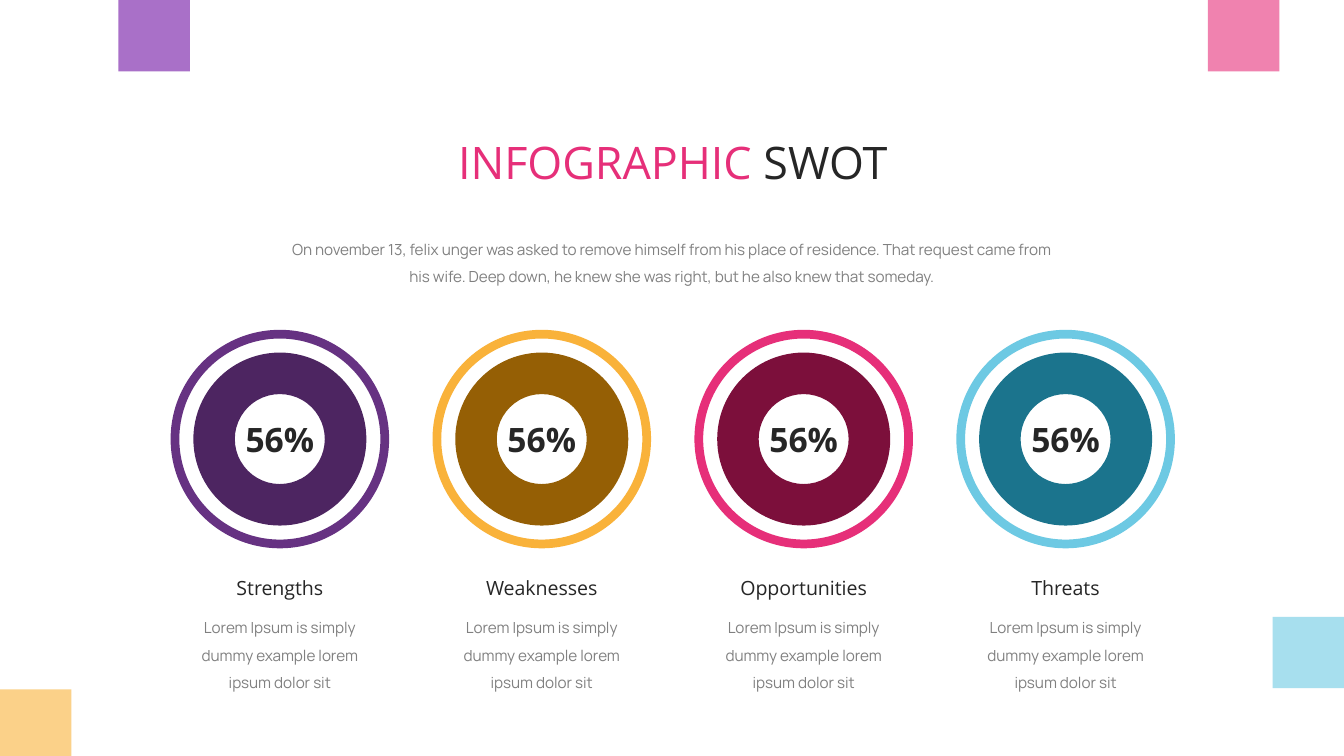
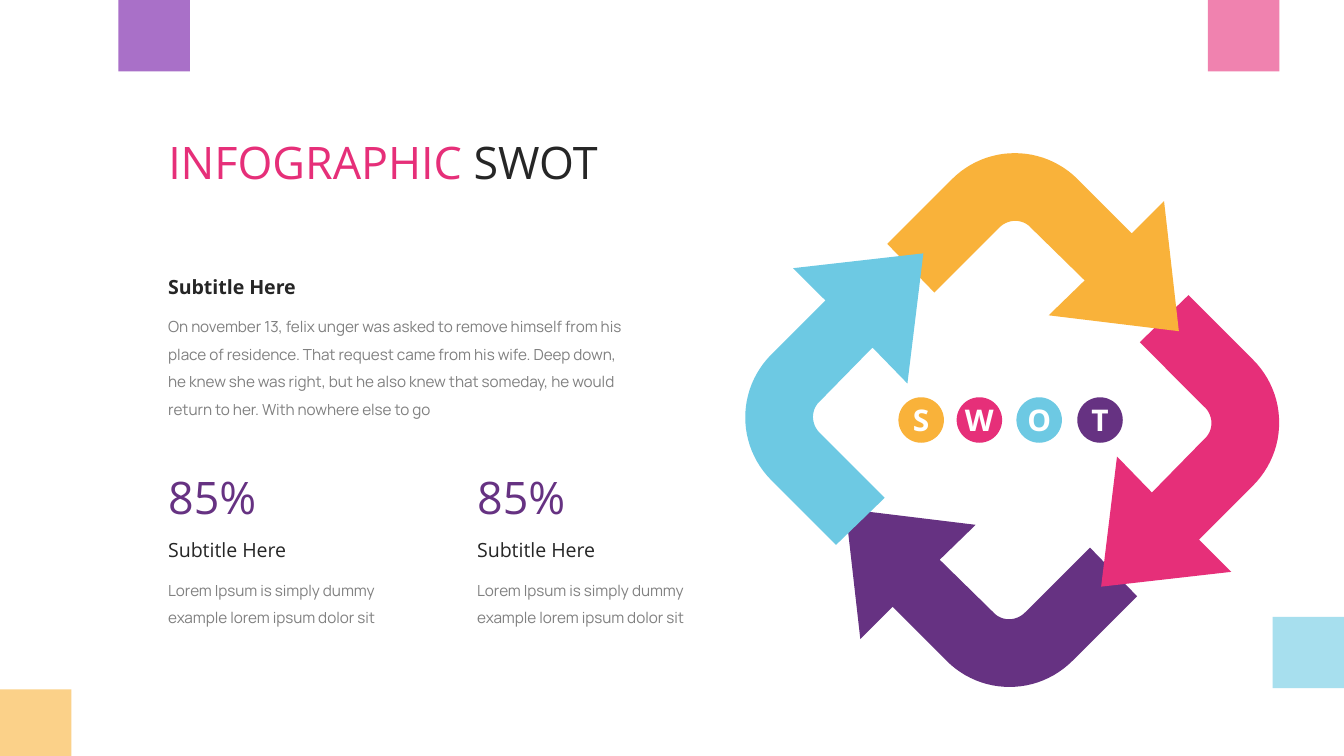
from pptx import Presentation
from pptx import util as u
from pptx.dml.color import RGBColor
from pptx.enum import shapes, text

Cm = u.Cm
SHAPE = shapes.MSO_SHAPE
LEFT, CENTER = text.PP_ALIGN.LEFT, text.PP_ALIGN.CENTER

# Shared colours, fonts and wording
PURPLE, YELLOW, PINK, BLUE = "663282", "F9B23A", "E62F79", "6DC9E3"
DARK, GREY, WHITE = "262626", "808080", "FFFFFF"
HEAD, BODY = "Open Sans", "Manrope"
TITLE = [("INFOGRAPHIC", PINK), (" SWOT", DARK)]
LOREM = "Lorem Ipsum\u00a0is simply dummy example lorem ipsum dolor sit".replace("\u00a0", " ")
STORY = ("On november 13, felix unger was asked to remove himself from his place "
         "of residence. That request came from his wife. Deep down, he knew she "
         "was right, but he also knew that someday")
SQUARES = [(0, 13.03, "FBD189"), (22.83, 0, "F082AF"),
           (24.05, 11.66, "A7DFEE"), (2.24, 0, "A970C8")]


def paint(sp, color):
    """Flat fill without outline or shadow."""
    sp.shadow.inherit = False
    sp.fill.solid()
    sp.fill.fore_color.rgb = RGBColor.from_string(color)
    sp.line.fill.background()


def write(sp, box, runs, size, font=HEAD, align=LEFT, spacing=1.0, bold=False):
    """Place a text shape and fill its one paragraph run by run."""
    sp.left, sp.top, sp.width, sp.height = [Cm(v) for v in box]
    tf = sp.text_frame
    tf.word_wrap = True
    tf.auto_size = text.MSO_AUTO_SIZE.SHAPE_TO_FIT_TEXT
    tf.vertical_anchor = text.MSO_ANCHOR.TOP
    tf.margin_left = tf.margin_right = Cm(0.23)
    tf.margin_top = tf.margin_bottom = Cm(0.09)
    p = tf.paragraphs[0]
    p.alignment, p.line_spacing = align, spacing
    for words, color in runs:
        r = p.add_run()
        r.text = words
        r.font.name, r.font.size, r.font.bold = font, u.Pt(size), bold
        r.font.color.rgb = RGBColor.from_string(color)


prs = Presentation()
prs.slide_width, prs.slide_height = Cm(25.4), Cm(14.29)

# Both slides: corner squares and title
slides = []
for left, align in [(7.14, CENTER), (2.95, LEFT)]:
    s = prs.slides.add_slide(prs.slide_layouts[5])
    for x, y, color in SQUARES:
        paint(s.shapes.add_shape(SHAPE.RECTANGLE, Cm(x), Cm(y), Cm(1.35), Cm(1.35)), color)
    write(s.shapes.title, (left, 2.46, 11.15, 1.27), TITLE, 24, align=align)
    slides.append(s)

# Slide 1: introduction
s = slides[0]
write(s.shapes.add_textbox(0, 0, 0, 0), (5.08, 4.27, 15.24, 1.27),
      [(STORY + ".", GREY)], 8.2, BODY, CENTER, 1.5)

# Slide 1: four double rings with captions
topics = [("Strengths", PURPLE, "4D2561"), ("Weaknesses", YELLOW, "955F05"),
          ("Opportunities", PINK, "7C0F3B"), ("Threats", BLUE, "1B748D")]
for i, (topic, light, deep) in enumerate(topics):
    cx, cy = 5.29 + 4.95 * i, 8.3
    for size, thickness, color in [(4.13, 0.04, light), (3.27, 0.24, deep)]:
        sp = s.shapes.add_shape(SHAPE.DONUT, Cm(cx - size / 2), Cm(cy - size / 2),
                                Cm(size), Cm(size))
        sp.adjustments[0] = thickness
        paint(sp, color)
    write(s.shapes.add_textbox(0, 0, 0, 0), (cx - 1.28, 7.82, 2.56, 1.02),
          [("56%", DARK)], 18, align=CENTER, bold=True)
    write(s.shapes.add_textbox(0, 0, 0, 0), (cx - 1.66, 10.8, 3.32, 0.71),
          [(topic, DARK)], 10.5, align=CENTER)
    write(s.shapes.add_textbox(0, 0, 0, 0), (cx - 1.98, 11.43, 3.96, 1.8),
          [(LOREM, GREY)], 8.2, BODY, CENTER, 1.5)

# Slide 2: outline of the bottom arrow around the cycle centre;
# four points in one row make a Bezier curve, a single point a corner
s = slides[1]
outline = [
    [(-3.15, 1.68)], [(-2.87, 4.14)], [(-2.26, 3.53)],
    [(-1.24, 4.55), (-0.58, 5.21), (0.48, 5.21), (1.14, 4.55)],
    [(2.36, 3.33)], [(1.47, 2.41)],
    [(0.25, 3.63), (0.08, 3.81), (-0.2, 3.81), (-0.36, 3.63)],
    [(-1.37, 2.64)], [(-0.69, 1.98)],
]
points = []
for part in outline:
    if len(part) == 1:
        points += part
        continue
    a, b, c, d = part
    for step in range(25):
        t = step / 24
        points.append(tuple(
            (1 - t) ** 3 * a[k] + 3 * (1 - t) ** 2 * t * b[k]
            + 3 * (1 - t) * t ** 2 * c[k] + t ** 3 * d[k] for k in (0, 1)))

# Slide 2: the arrow and its three quarter turns
for color in [PURPLE, PINK, YELLOW, BLUE]:
    corners = [(Cm(19.13 + x), Cm(7.94 + y)) for x, y in points]
    ff = s.shapes.build_freeform(*corners[0])
    ff.add_line_segments(corners[1:], close=True)
    paint(ff.convert_to_shape(), color)
    points = [(y, -x) for x, y in points]

# Slide 2: letter discs in the middle of the cycle
for letter, x, color in [("S", 16.98, YELLOW), ("W", 18.08, PINK),
                         ("O", 19.21, BLUE), ("T", 20.36, PURPLE)]:
    sp = s.shapes.add_shape(SHAPE.OVAL, Cm(x), Cm(7.51), Cm(0.86), Cm(0.86))
    paint(sp, color)
    tf = sp.text_frame
    tf.word_wrap = False
    tf.vertical_anchor = text.MSO_ANCHOR.MIDDLE
    tf.margin_left = tf.margin_right = tf.margin_top = tf.margin_bottom = 0
    p = tf.paragraphs[0]
    p.alignment = CENTER
    r = p.add_run()
    r.text = letter
    r.font.name, r.font.size, r.font.bold = HEAD, u.Pt(16), True
    r.font.color.rgb = RGBColor.from_string(WHITE)

# Slide 2: main text
write(s.shapes.add_textbox(0, 0, 0, 0), (2.95, 5.11, 3.51, 0.71),
      [("Subtitle Here", DARK)], 10.5, bold=True)
write(s.shapes.add_textbox(0, 0, 0, 0), (2.95, 5.74, 9.32, 2.31),
      [(STORY + ", he would return to her. With nowhere else to go", GREY)],
      8.2, BODY, spacing=1.5)

# Slide 2: two figures
for x in [2.95, 8.79]:
    write(s.shapes.add_textbox(0, 0, 0, 0), (x, 8.79, 2.69, 1.27), [("85%", PURPLE)], 24)
    write(s.shapes.add_textbox(0, 0, 0, 0), (x, 10.08, 2.97, 1.14),
          [("Subtitle Here", DARK)], 10.5)
    write(s.shapes.add_textbox(0, 0, 0, 0), (x, 10.72, 5.23, 1.27),
          [(LOREM, GREY)], 8.2, BODY, spacing=1.5)

prs.save("out.pptx")
